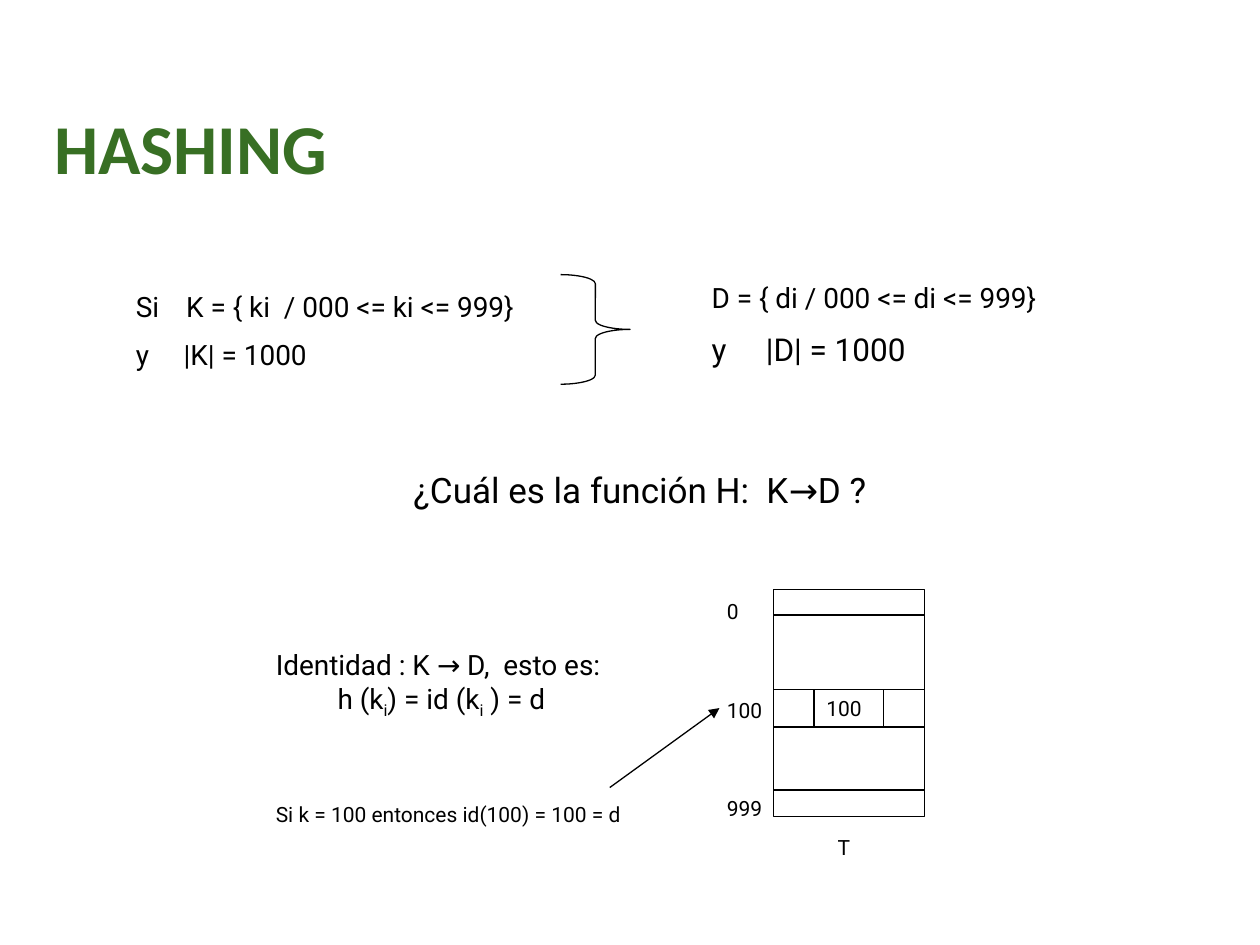
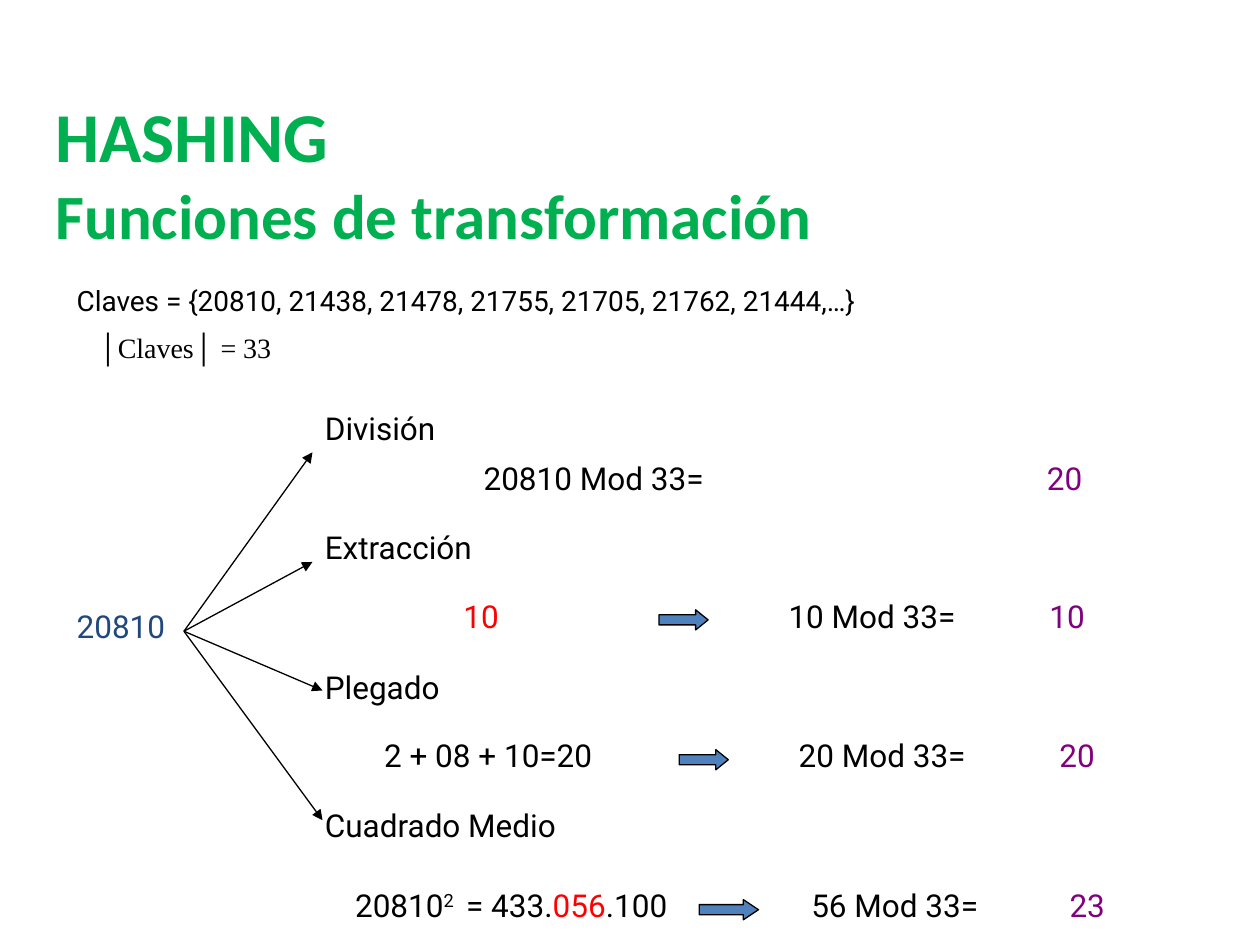
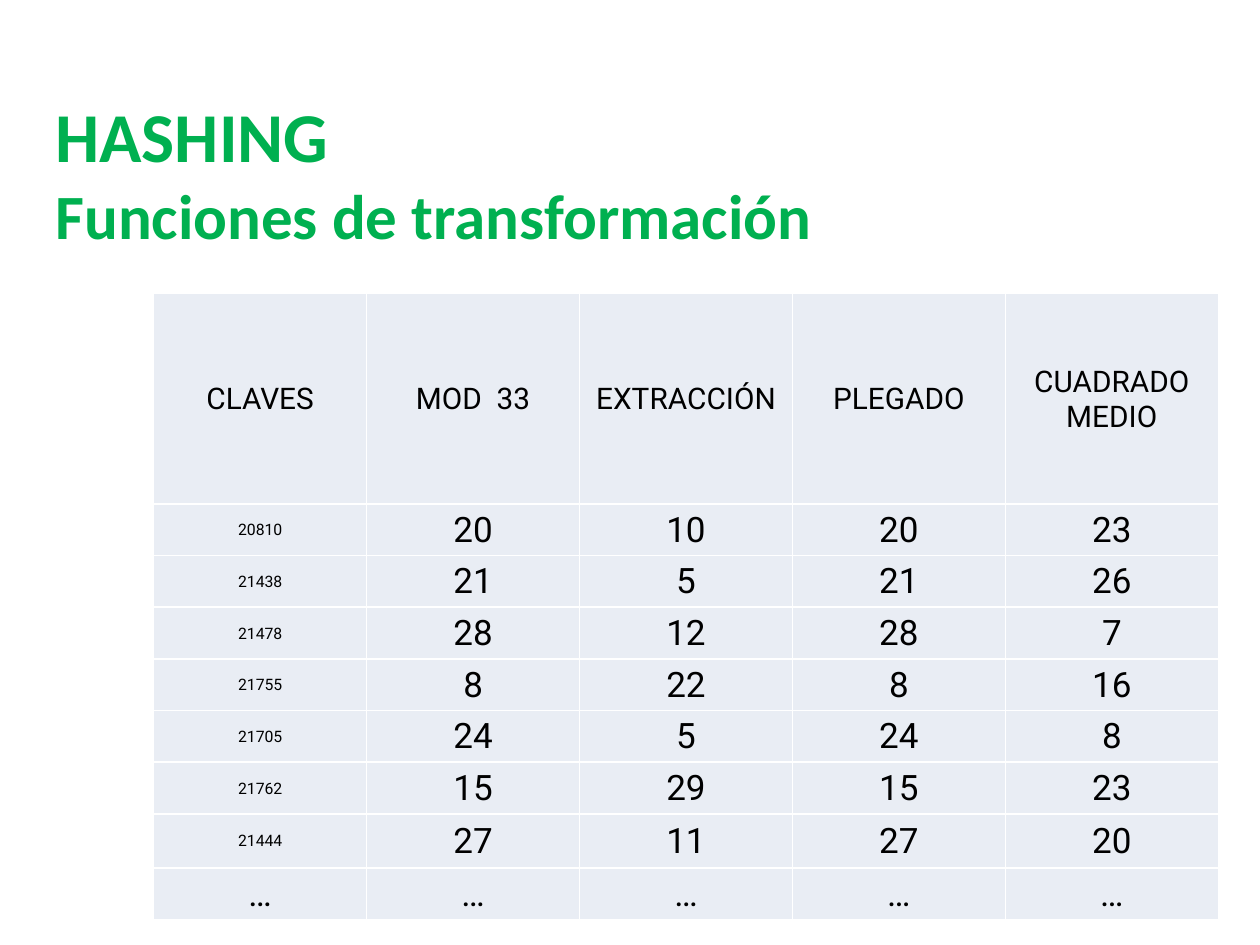
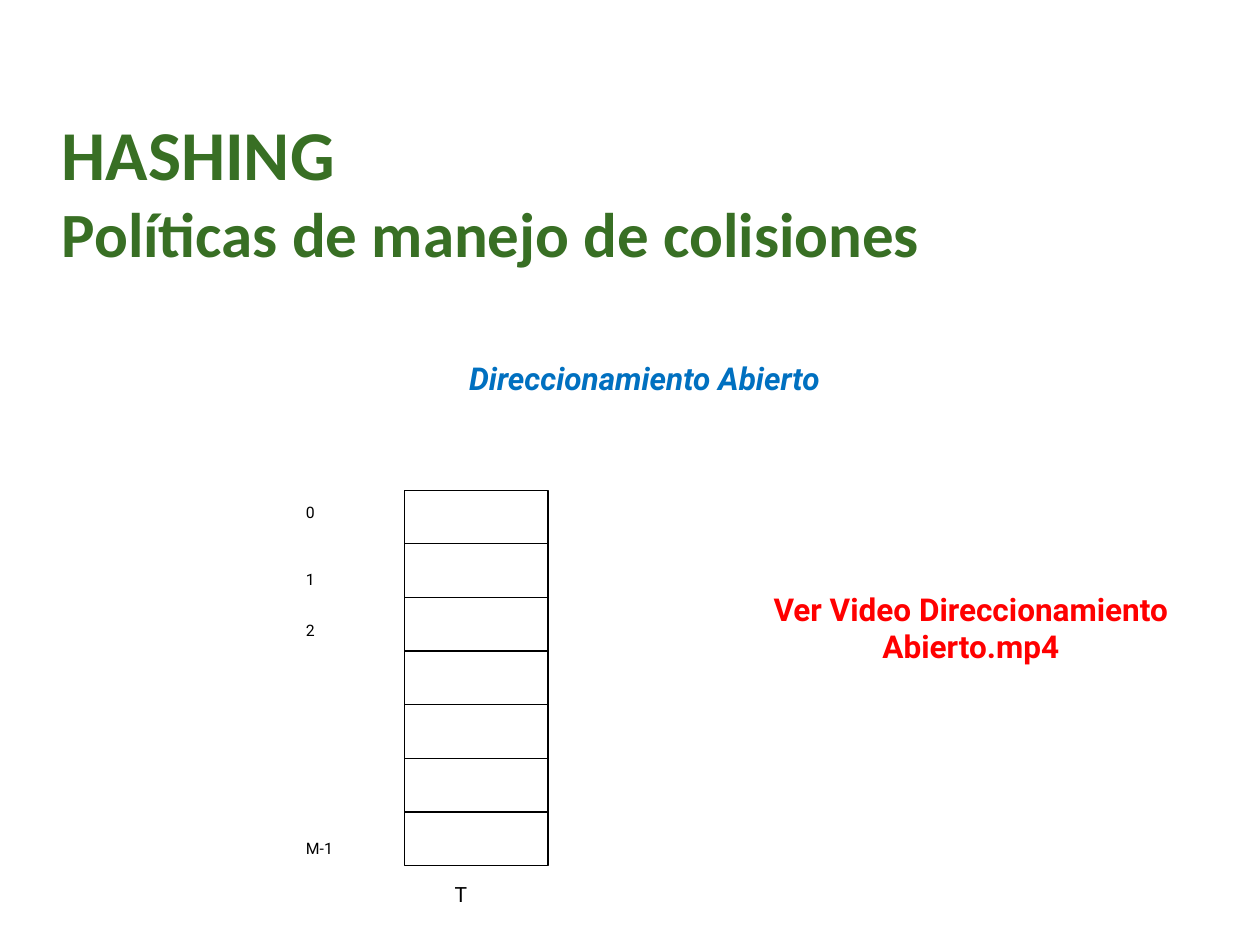
"""Build four slides that explain hashing and its transformation functions."""
from dataclasses import dataclass

from pptx import Presentation
from pptx.dml.color import RGBColor
from pptx.enum.shapes import MSO_CONNECTOR, MSO_SHAPE
from pptx.enum.text import MSO_ANCHOR, PP_ALIGN
from pptx.oxml.ns import qn
from pptx.oxml.xmlchemy import OxmlElement
from pptx.util import Inches, Pt

RECTANGLE = MSO_SHAPE.RECTANGLE
RIGHT_ARROW = MSO_SHAPE.RIGHT_ARROW
RIGHT_BRACE = MSO_SHAPE.RIGHT_BRACE
STRAIGHT = MSO_CONNECTOR.STRAIGHT
LEFT, CENTER, JUSTIFY = PP_ALIGN.LEFT, PP_ALIGN.CENTER, PP_ALIGN.JUSTIFY
TOP, MIDDLE, BOTTOM = MSO_ANCHOR.TOP, MSO_ANCHOR.MIDDLE, MSO_ANCHOR.BOTTOM
TITLE_ONLY = 5


@dataclass(frozen=True)
class Theme:
    black: str = "000000"
    white: str = "FFFFFF"
    dark_green: str = "386F24"
    green: str = "00B050"
    navy: str = "1F497D"
    purple: str = "800080"
    red: str = "FF0000"
    blue: str = "0070C0"
    arrow: str = "4F81BD"
    cell: str = "E9EDF4"
    title_font: str = "Calibri"
    body_font: str = "Roboto"
    serif_font: str = "Times New Roman"
    title: int = 40
    subtitle: int = 36
    question: int = 20
    large: int = 18
    header: int = 17
    body: int = 16
    label: int = 12
    small: int = 9
    rule: float = 0.75


THEME = Theme()


@dataclass
class Line:
    """One paragraph: a text or a list of (text, format) runs, and its layout."""
    content: object
    size: int = THEME.body
    align: object = LEFT
    before: float = 0
    indent: float = 0
    tab: float = 0


def rgb(color):
    return RGBColor.from_string(color)


def add_run(paragraph, text, *, size=THEME.body, font=THEME.body_font, color=THEME.black,
            bold=False, italic=False, baseline=0):
    run = paragraph.add_run()
    run.text = text
    run.font.size = Pt(size)
    run.font.name = font
    run.font.color.rgb = rgb(color)
    run.font.bold = bold
    run.font.italic = italic
    if baseline:
        run.font._element.set("baseline", str(baseline * 1000))


def add_tab_stop(paragraph, position):
    tab_list = OxmlElement("a:tabLst")
    tab = OxmlElement("a:tab")
    tab.set("pos", str(Inches(position)))
    tab.set("algn", "l")
    tab_list.append(tab)
    paragraph._p.get_or_add_pPr().append(tab_list)


def fill_frame(frame, lines, *, anchor=TOP, top_inset=0.05, **style):
    frame.word_wrap = True
    frame.vertical_anchor = anchor
    frame.margin_top = Inches(top_inset)
    for index, line in enumerate(lines):
        paragraph = frame.add_paragraph() if index else frame.paragraphs[0]
        paragraph.alignment = line.align
        if line.before:
            paragraph.space_before = Pt(line.before)
        if line.indent:
            paragraph._p.get_or_add_pPr().set("marL", str(Inches(line.indent)))
        if line.tab:
            add_tab_stop(paragraph, line.tab)
        runs = [(line.content, {})] if isinstance(line.content, str) else line.content
        for text, changes in runs:
            add_run(paragraph, text, **{"size": line.size, **style, **changes})


def set_cell_borders(cell, color, width):
    properties = cell._tc.get_or_add_tcPr()
    for position, side in enumerate(("lnL", "lnR", "lnT", "lnB")):
        border = OxmlElement(f"a:{side}")
        border.set("w", str(Pt(width)))
        fill = OxmlElement("a:solidFill")
        value = OxmlElement("a:srgbClr")
        value.set("val", color)
        fill.append(value)
        border.append(fill)
        properties.insert(position, border)


class Deck:
    """Holds the style and the current slide, and draws each kind of element."""

    def __init__(self, theme):
        self.theme = theme
        self.presentation = Presentation()
        self.presentation.slide_width = Inches(10)
        self.presentation.slide_height = Inches(7.5)
        self.slide = None

    def new_slide(self, title, subtitle, box, *, color, anchor=TOP, inset=0, top_inset=0):
        layout = self.presentation.slide_layouts[TITLE_ONLY]
        self.slide = self.presentation.slides.add_slide(layout)
        placeholder = self.slide.shapes.title
        placeholder.left, placeholder.top, placeholder.width, placeholder.height = map(Inches, box)
        frame = placeholder.text_frame
        frame.word_wrap = True
        frame.vertical_anchor = anchor
        frame.margin_left = frame.margin_right = Inches(inset)
        frame.margin_top, frame.margin_bottom = Inches(top_inset), Inches(inset / 2)
        paragraph = frame.paragraphs[0]
        paragraph.alignment = LEFT
        style = {"font": self.theme.title_font, "color": color, "bold": True}
        add_run(paragraph, title, size=self.theme.title, **style)
        if subtitle:
            paragraph.add_line_break()
            add_run(paragraph, subtitle, size=self.theme.subtitle, **style)

    def functions_slide(self):
        self.new_slide("HASHING", "Funciones de transformación", (0.34, 0.45, 8.52, 1.6),
                       color=self.theme.green, anchor=BOTTOM, inset=0.1, top_inset=0.05)

    def text(self, lines, left, top, width, height, **style):
        box = self.slide.shapes.add_textbox(*map(Inches, (left, top, width, height)))
        fill_frame(box.text_frame, lines, **style)

    def label(self, text, left, top, width, height=0.4, size=THEME.large, align=LEFT, **style):
        self.text([Line(text, size=size, align=align)], left, top, width, height, **style)

    def shape(self, kind, left, top, width, height, *, fill=None, outline=True,
              adjustments=(), lines=(), **style):
        shape = self.slide.shapes.add_shape(kind, *map(Inches, (left, top, width, height)))
        shape.shadow.inherit = False
        for index, value in enumerate(adjustments):
            shape.adjustments[index] = value
        if fill:
            shape.fill.solid()
            shape.fill.fore_color.rgb = rgb(fill)
        else:
            shape.fill.background()
        if outline:
            shape.line.color.rgb = rgb(self.theme.black)
            shape.line.width = Pt(self.theme.rule)
        else:
            shape.line.fill.background()
        if lines:
            fill_frame(shape.text_frame, lines, **style)

    def connector(self, start, end, arrow=False):
        connector = self.slide.shapes.add_connector(STRAIGHT, *map(Inches, (*start, *end)))
        connector.line.color.rgb = rgb(self.theme.black)
        connector.line.width = Pt(self.theme.rule)
        properties = connector._element.spPr
        if arrow:
            head = OxmlElement("a:tailEnd")
            head.set("type", "triangle")
            properties.find(qn("a:ln")).append(head)
        properties.append(OxmlElement("a:effectLst"))

    def storage(self, left, top, width, height, dividers):
        self.shape(RECTANGLE, left, top, width, height)
        for divider in dividers:
            self.connector((left, divider), (left + width, divider))

    def table(self, rows, left, top, column_width, row_heights):
        columns = len(rows[0])
        frame = self.slide.shapes.add_table(
            len(rows), columns, Inches(left), Inches(top),
            Inches(column_width * columns), Inches(sum(row_heights)))
        table = frame.table
        table.first_row = table.horz_banding = False
        for column in table.columns:
            column.width = Inches(column_width)
        for row, height in zip(table.rows, row_heights):
            row.height = Inches(height)
        for row_index, values in enumerate(rows):
            for column_index, value in enumerate(values):
                cell = table.cell(row_index, column_index)
                cell.fill.solid()
                cell.fill.fore_color.rgb = rgb(self.theme.cell)
                set_cell_borders(cell, self.theme.white, 1)
                cell.vertical_anchor = MIDDLE
                cell.margin_left = cell.margin_right = cell.margin_top = Inches(0.01)
                cell.margin_bottom = 0
                if row_index == 0:
                    size = self.theme.header
                elif column_index == 0 and value != "…":
                    size = self.theme.small
                else:
                    size = self.theme.question
                paragraph = cell.text_frame.paragraphs[0]
                paragraph.alignment = CENTER
                add_run(paragraph, value, size=size)


def build_identity(deck):
    theme = deck.theme
    deck.new_slide("HASHING", None, (0.43, 0.83, 9.03, 0.67), color=theme.dark_green)
    deck.text([Line("Si\tK = { ki  / 000 <= ki <= 999}", tab=0.4),
               Line("y\t|K| = 1000", tab=0.38, before=8)], 0.98, 2.25, 3.7, 0.77)
    deck.storage(6.14, 4.68, 1.2, 1.8, (4.88, 5.47, 5.77, 6.27))
    deck.shape(RECTANGLE, 6.46, 5.47, 0.55, 0.3, lines=[Line("100", size=theme.label)])
    deck.label("T", 6.55, 6.57, 0.41, 0.25, size=theme.label)
    subscript = {"baseline": -25}
    deck.text([Line("Identidad : K → D,  esto es:", align=JUSTIFY),
               Line([("h (k", {}), ("i", subscript), (") = id (k", {}), ("i", subscript),
                     (" ) = d", {})], align=JUSTIFY, indent=0.49),
               Line("Si k = 100 entonces id(100) = 100 = d", size=theme.label, before=47)],
              2.09, 4.7, 3.12, 2, top_inset=0.44)
    deck.text([Line(address, size=theme.label, before=42 if index else 0)
               for index, address in enumerate(("0", "100", "999"))], 5.67, 4.7, 0.55, 1.87)
    deck.connector((4.84, 6.25), (5.71, 5.62), arrow=True)
    deck.label("¿Cuál es la función H:  K→D ?", 1.3, 3.67, 7.56, 0.43,
               size=theme.question, align=CENTER)
    deck.text([Line("D = { di / 000 <= di <= 999}"),
               Line("y\t|D| = 1000", size=theme.large, tab=0.43, before=9)],
              5.55, 2.18, 4.17, 0.82)
    deck.shape(RIGHT_BRACE, 4.45, 2.18, 0.55, 0.87, adjustments=(0.131, 0.5))


def build_functions(deck):
    theme = deck.theme
    deck.functions_slide()
    deck.text([Line("Claves = {20810, 21438, 21478, 21755, 21705, 21762, 21444,…}"),
               Line([("│Claves│ = 33", {"font": theme.serif_font})], before=8, indent=0.17)],
              0.51, 2.2, 8.51, 0.77)
    deck.shape(RECTANGLE, 0.51, 4.77, 1.02, 0.4, fill=theme.white, outline=False,
               lines=[Line("20810", size=theme.large)], color=theme.navy)

    methods = (("División", 3.2, (2.48, 3.59)), ("Extracción", 4.14, (2.48, 4.46)),
               ("Plegado", 5.25, (2.56, 5.48)), ("Cuadrado Medio", 6.35, (2.56, 6.51)))
    for name, top, target in methods:
        deck.label(name, 2.48, top, 2.28)
        deck.connector((1.46, 5.01), target, arrow=True)

    square = [("20810", {}), ("2 ", {"baseline": 30}), (" = 433.", {}),
              ("056", {"color": theme.red}), (".100", {})]
    deck.label("20810 Mod 33=", 3.74, 3.59, 2.23)
    deck.label([("10", {"color": theme.red})], 3.58, 4.69, 1.02)
    deck.label("2 + 08 + 10=20", 2.95, 5.79, 2.36)
    deck.label(square, 2.72, 6.98, 2.84)

    for text, left, top in (("10 Mod 33=", 6.16, 4.69), ("20 Mod 33=", 6.24, 5.79),
                            ("56 Mod 33=", 6.34, 6.98)):
        deck.label(text, left, top, 1.75)
    for text, left, top in (("20", 8.21, 3.59), ("10", 8.23, 4.69),
                            ("20", 8.31, 5.79), ("23", 8.39, 6.98)):
        deck.label(text, left, top, 0.71, color=theme.purple)
    for left, top, width, head in ((5.23, 4.84, 0.39, 0.62), (5.39, 5.95, 0.39, 0.62),
                                   (5.55, 7.14, 0.47, 0.75)):
        deck.shape(RIGHT_ARROW, left, top, width, 0.16, fill=theme.arrow,
                   adjustments=(0.5, head))


def build_results(deck):
    deck.functions_slide()
    rows = (("CLAVES", "MOD  33", "EXTRACCIÓN", "PLEGADO", "CUADRADO MEDIO"),
            ("20810", "20", "10", "20", "23"),
            ("21438", "21", "5", "21", "26"),
            ("21478", "28", "12", "28", "7"),
            ("21755", "8", "22", "8", "16"),
            ("21705", "24", "5", "24", "8"),
            ("21762", "15", "29", "15", "23"),
            ("21444", "27", "11", "27", "20"),
            ("…",) * 5)
    deck.table(rows, 1.22, 2.33, 1.69, [1.67] + [0.41] * 6 + [0.43, 0.41])


def build_collisions(deck):
    theme = deck.theme
    deck.new_slide("HASHING", "Políticas de manejo de colisiones", (0.49, 0.76, 9.03, 1.41),
                   color=theme.dark_green, top_inset=0.12)
    deck.label("Direccionamiento Abierto", 2.16, 2.8, 5.91, align=CENTER,
               color=theme.blue, bold=True, italic=True)
    top, height, slots = 3.89, 2.98, 7
    deck.storage(3.21, top, 1.14, height,
                 [top + height * slot / slots for slot in range(1, slots)])
    for address, label_top in (("0", 3.94), ("1", 4.47), ("2", 4.88), ("M-1", 6.61)):
        deck.label(address, 2.33, label_top, 0.71, 0.27, size=theme.small)
    deck.label("T", 3.51, 6.95, 0.71, 0.27, size=theme.label)
    deck.label("Ver Video Direccionamiento Abierto.mp4", 5.92, 4.63, 3.57, 1.01,
               align=CENTER, color=theme.red, bold=True)


def main():
    deck = Deck(THEME)
    for build in (build_identity, build_functions, build_results, build_collisions):
        build(deck)
    deck.presentation.save("out.pptx")


if __name__ == "__main__":
    main()
